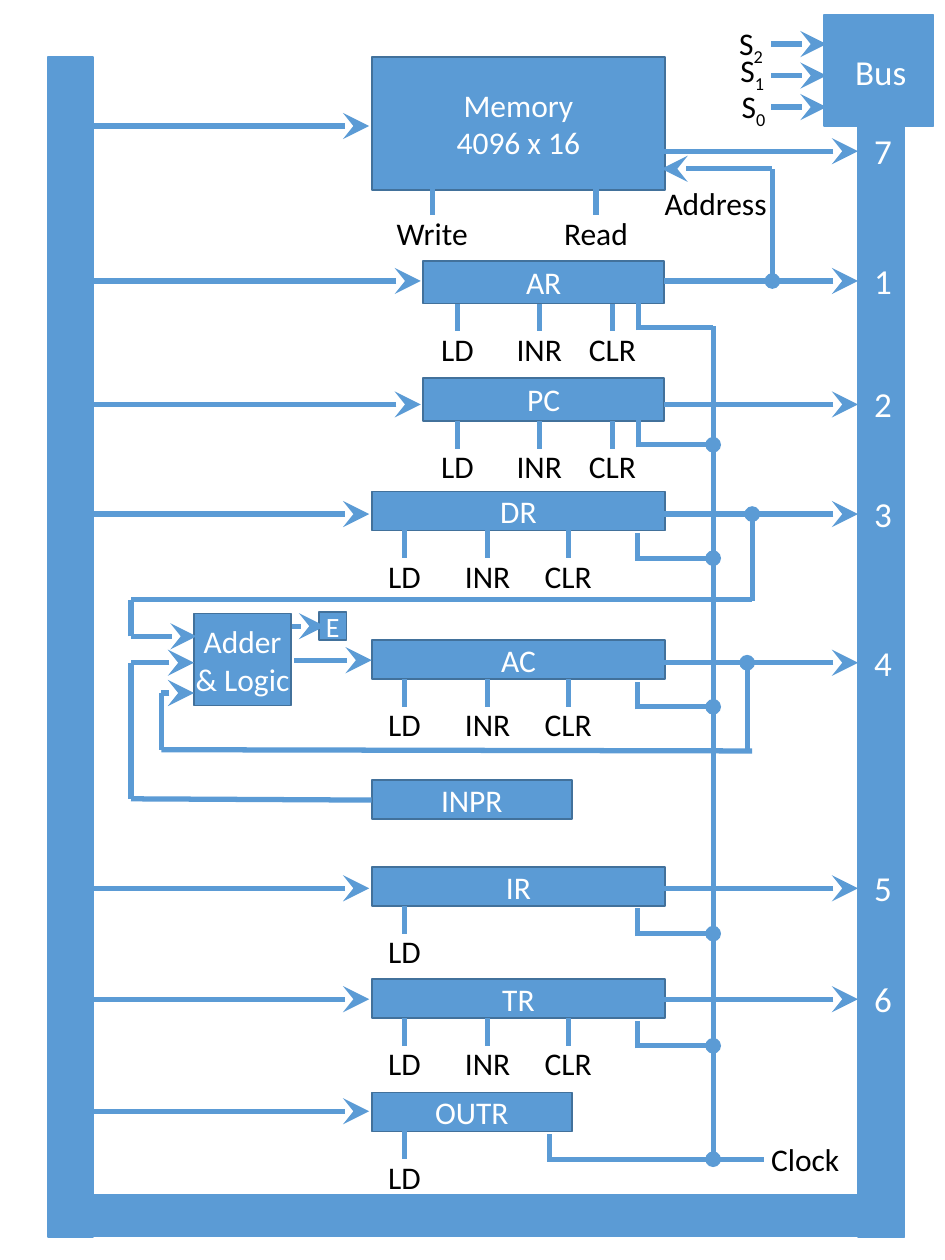
from dataclasses import dataclass
from typing import Optional

from lxml import etree
from pptx import Presentation
from pptx.dml.color import RGBColor
from pptx.enum.shapes import MSO_CONNECTOR, MSO_SHAPE
from pptx.enum.text import MSO_ANCHOR, PP_ALIGN
from pptx.oxml.ns import qn
from pptx.util import Inches, Pt

RECT = MSO_SHAPE.RECTANGLE
STRAIGHT = MSO_CONNECTOR.STRAIGHT
CENTER = PP_ALIGN.CENTER
MIDDLE, TOP = MSO_ANCHOR.MIDDLE, MSO_ANCHOR.TOP

BLUE = RGBColor(0x5B, 0x9B, 0xD5)
EDGE = RGBColor(0x42, 0x71, 0x9B)
WHITE = RGBColor(0xFF, 0xFF, 0xFF)
BLACK = RGBColor(0, 0, 0)
FONT = "Calibri"

prs = Presentation()
prs.slide_width, prs.slide_height = Inches(7.5), Inches(10)
slide = prs.slides.add_slide(prs.slide_layouts[6])

# Grid of 750 columns by 1000 rows; every length below counts its cells
COL, ROW = prs.slide_width / 750, prs.slide_height / 1000
LEFT_BUS, RIGHT_BUS = 74, 681
REG_LEFT, REG_RIGHT = 295, 527
CLOCK_X = 566
PIN_NAMES = ("LD", "INR", "CLR")
WIDE_PINS = (26, 92, 156)
NARROW_PINS = (27, 92, 150)

Point = tuple[int, int]


@dataclass
class Register:
    name: str
    top: int
    row: int                      # height of its bus wires
    left: int = REG_LEFT
    width: int = 233
    height: int = 31
    pins: int = 3
    pin_offsets: tuple = WIDE_PINS
    from_bus: bool = True
    number: Optional[str] = None  # select code on the right bus
    tap_x: Optional[int] = 506    # where the clock leaves the register

    @property
    def bottom(self) -> int:
        return self.top + self.height


def cells(left: int, top: int, width: int, height: int) -> tuple:
    return round(left * COL), round(top * ROW), round(width * COL), round(height * ROW)


def add_run(paragraph, text: str, size: int, color: RGBColor, baseline: int = 0) -> None:
    run = paragraph.add_run()
    run.text = text
    run.font.name, run.font.size = FONT, Pt(size)
    run.font.color.rgb = color
    if baseline:
        run.font._element.set("baseline", str(baseline * 1000))


def box(left: int, top: int, width: int, height: int, lines: tuple = (),
        edge: RGBColor = EDGE, tight: bool = False, size: int = 18) -> None:
    shape = slide.shapes.add_shape(RECT, *cells(left, top, width, height))
    shape.shadow.inherit = False
    shape.fill.solid()
    shape.fill.fore_color.rgb = BLUE
    shape.line.color.rgb = edge
    shape.line.width = Pt(1)
    frame = shape.text_frame
    frame.vertical_anchor = MIDDLE
    if tight:
        frame.margin_left = frame.margin_right = frame.margin_top = frame.margin_bottom = 0
    for i, text in enumerate(lines):
        paragraph = frame.add_paragraph() if i else frame.paragraphs[0]
        paragraph.alignment = CENTER
        add_run(paragraph, text, size, WHITE)


def label(text: str, center: int, top: int, width: int = 72, height: int = 40,
          size: int = 18, color: RGBColor = BLACK, subscript: str = "") -> None:
    frame = slide.shapes.add_textbox(*cells(center - width // 2, top, width, height)).text_frame
    frame.word_wrap = False
    frame.vertical_anchor = TOP
    paragraph = frame.paragraphs[0]
    paragraph.alignment = CENTER
    add_run(paragraph, text, size, color)
    if subscript:
        add_run(paragraph, subscript, size, color, -25)


def wire(start: Point, end: Point, mark: str = "") -> None:
    """Straight wire; mark is put on its start: stealth or oval."""
    (x1, y1), (x2, y2) = start, end
    line = slide.shapes.add_connector(
        STRAIGHT, round(x1 * COL), round(y1 * ROW), round(x2 * COL), round(y2 * ROW))
    line.line.color.rgb = BLUE
    line.line.width = Pt(3)
    properties = line._element.spPr
    if mark:
        size = "lg" if mark == "stealth" else "med"
        etree.SubElement(properties.find(qn("a:ln")), qn("a:headEnd"),
                         type=mark, w=size, len=size)
    etree.SubElement(properties, qn("a:effectLst"))


def wire_chain(points: list[Point], mark: str = "") -> None:
    for i, (start, end) in enumerate(zip(points, points[1:])):
        wire(start, end, "" if i else mark)


def pin(name: str, x: int, top: int, width: int = 72) -> None:
    wire((x, top), (x, top + 22))
    label(name, x, top + 16, width)


def bus_output(number: str, row: int) -> None:
    wire((RIGHT_BUS, row), (REG_RIGHT, row), "stealth")
    label(number, 699, row - 22, 30, 44, 20, WHITE)


def draw_register(reg: Register) -> None:
    box(reg.left, reg.top, reg.width, reg.height, (reg.name,))
    for name, offset in list(zip(PIN_NAMES, reg.pin_offsets))[:reg.pins]:
        pin(name, reg.left + offset, reg.bottom)
    if reg.from_bus:
        wire((reg.left - 2, reg.row), (LEFT_BUS, reg.row), "stealth")
    if reg.number:
        bus_output(reg.number, reg.row)
    if reg.tap_x:
        tap_y = reg.top + 53
        wire((reg.tap_x, tap_y + 2), (reg.tap_x, tap_y - 20))
        wire((CLOCK_X, tap_y), (reg.tap_x, tap_y), "" if reg.name == "AR" else "oval")


# Common bus
for area in ((654, 12, 87, 88), (38, 948, 680, 33), (38, 45, 36, 937), (681, 95, 37, 887)):
    box(*area, edge=BLUE)
label("Bus", 699, 35, 64, 44, 20, WHITE)

# Select inputs
for digit, center, top, row in (("2", 596, 14, 35), ("1", 597, 36, 60), ("0", 598, 64, 85)):
    wire((656, row), (612, row), "stealth")
    label("S", center, top, 44, subscript=digit)

# Memory
box(295, 45, 233, 106, ("Memory", "4096 x 16"))
pin("Write", 343, 149, 90)
pin("Read", 473, 149, 90)
wire((293, 100), (LEFT_BUS, 100), "stealth")
bus_output("7", 120)

# Registers
narrow = dict(left=336, width=191, height=34, pin_offsets=NARROW_PINS, tap_x=507)
short = dict(width=159)
for register in (
    Register("AR", 207, 223, number="1", **narrow),
    Register("PC", 300, 321, number="2", **narrow),
    Register("DR", 390, 408, number="3"),
    Register("AC", 508, 526, number="4", from_bus=False),
    Register("INPR", 619, 635, pins=0, from_bus=False, tap_x=None, **short),
    Register("IR", 688, 705, pins=1, number="5"),
    Register("TR", 777, 793, number="6"),
    Register("OUTR", 867, 882, pins=1, tap_x=436, **short),
):
    draw_register(register)

# Clock trunk
wire((CLOCK_X, 920), (CLOCK_X, 259))
wire((CLOCK_X, 920), (606, 920))
label("Clock", 639, 900, 102)

# Address feedback from AR to memory
wire((613, 223), (613, 134), "oval")
wire((525, 134), (613, 134), "stealth")
label("Address", 568, 141, 106)

# Adder with its carry flag and result
box(154, 487, 77, 73, ("Adder & Logic",), tight=True)
box(253, 486, 22, 22, ("E",), tight=True, size=16)
wire((258, 497), (232, 497), "stealth")
wire((295, 524), (233, 524), "stealth")

# Adder inputs from DR, INPR and AC
wire_chain([(156, 505), (104, 505), (104, 476), (597, 476)], "stealth")
wire((597, 408), (597, 477), "oval")
wire_chain([(154, 526), (104, 526), (104, 634), (295, 635)], "stealth")
wire_chain([(154, 550), (128, 550), (128, 595), (597, 596)], "stealth")
wire((593, 526), (593, 595), "oval")

prs.save("out.pptx")
